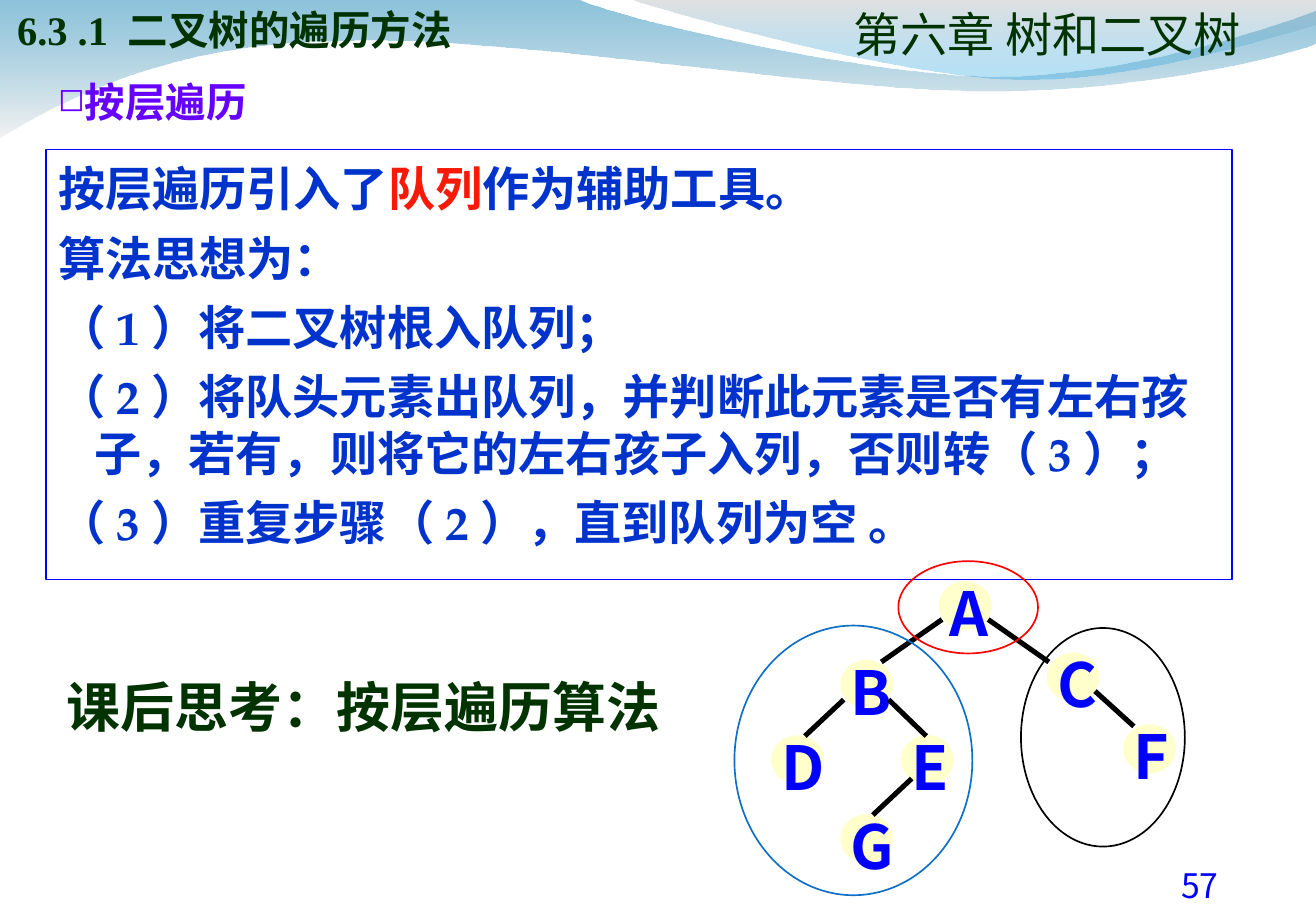
from lxml import etree
from pptx import Presentation
from pptx.dml.color import RGBColor
from pptx.enum.shapes import MSO_CONNECTOR, MSO_SHAPE
from pptx.enum.text import MSO_ANCHOR, PP_ALIGN
from pptx.oxml import parse_xml
from pptx.oxml.ns import nsdecls, qn
from pptx.util import Pt

PX = 9144
SANS = "Noto Sans CJK SC"
SERIF = "Times New Roman"
BODY_FONT = "TeX Gyre Pagella"
GREEN, BLUE, BODY_BLUE = "003300", "0000FF", "0033CC"
RED, PURPLE, CREAM = "F81908", "6600FF", "FFFFCC"


def px(value):
    return round(value * PX)


def color(hex_string):
    return RGBColor.from_string(hex_string)


def add_outline(slide, kind, box, line, width=1.0, fill=None):
    shape = slide.shapes.add_shape(kind, *map(px, box))
    shape.shadow.inherit = False
    if fill:
        shape.fill.solid()
        shape.fill.fore_color.rgb = color(fill)
    else:
        shape.fill.background()
    shape.line.color.rgb = color(line)
    shape.line.width = Pt(width)
    return shape


def add_bullet(properties, character, fill):
    bullet_color = etree.SubElement(properties, qn("a:buClr"))
    etree.SubElement(bullet_color, qn("a:srgbClr")).set("val", fill)
    etree.SubElement(properties, qn("a:buSzPct")).set("val", "80000")
    etree.SubElement(properties, qn("a:buChar")).set("char", character)


def write_text(shape, paragraphs, size, font, fill, bold=False, align=PP_ALIGN.LEFT,
               anchor=MSO_ANCHOR.TOP, insets=(10, 5, 10, 5), before=0, hanging=0,
               bullet=None, line_height=None):
    frame = shape.text_frame
    frame.word_wrap = True
    frame.vertical_anchor = anchor
    frame.margin_left, frame.margin_top, frame.margin_right, frame.margin_bottom = map(px, insets)
    for index, runs in enumerate(paragraphs):
        paragraph = frame.add_paragraph() if index else frame.paragraphs[0]
        paragraph.alignment = align
        if line_height:
            paragraph.line_spacing = Pt(line_height)
        if index:
            paragraph.space_before = Pt(before)
        properties = paragraph._p.get_or_add_pPr()
        properties.set("marL", str(px(hanging)))
        properties.set("indent", str(-px(hanging)))
        if bullet:
            add_bullet(properties, bullet, fill)
        for text, run_fill in runs:
            run = paragraph.add_run()
            run.text = text
            run.font.size = Pt(size)
            run.font.bold = bold
            run.font.name = font
            run.font.color.rgb = color(run_fill)
            run_properties = run._r.get_or_add_rPr()
            run_properties.set("lang", "zh-CN")
            etree.SubElement(run_properties, qn("a:ea")).set("typeface", SANS)


def add_text(slide, box, text, **text_format):
    textbox = slide.shapes.add_textbox(*map(px, box))
    write_text(textbox, [[(text, text_format["fill"])]], **text_format)


def bend_path(shape, segments):
    lines = iter(shape._element.findall(".//" + qn("a:lnTo")))
    for segment in segments:
        line = next(lines)
        if isinstance(segment[0], tuple):
            line.tag = qn("a:cubicBezTo")
            for extra in (next(lines), next(lines)):
                line.append(extra[0])
                extra.getparent().remove(extra)


def add_wave(slide, box, segments, stops):
    points = []
    for segment in segments:
        points.extend(segment if isinstance(segment[0], tuple) else [segment])
    points = [(px(box[0] + x), px(box[1] + y)) for x, y in points]
    builder = slide.shapes.build_freeform(*points[0])
    builder.add_line_segments(points[1:], close=True)
    shape = builder.convert_to_shape()
    bend_path(shape, segments[1:])
    shape.shadow.inherit = False
    shape.line.fill.background()
    stop_xml = "".join(
        f'<a:gs pos="{position * 1000}"><a:srgbClr val="{fill}">'
        f'<a:alpha val="{alpha * 1000}"/></a:srgbClr></a:gs>'
        for position, fill, alpha in stops)
    gradient = parse_xml(f'<a:gradFill {nsdecls("a")} rotWithShape="1"><a:gsLst>{stop_xml}</a:gsLst>'
                         '<a:lin ang="5400000" scaled="0"/></a:gradFill>')
    shape._element.spPr.find(qn("a:custGeom")).addnext(gradient)


def add_header(slide, box):
    left, top, width, height = box
    add_wave(slide, box,
             [(0, 0), (477, 0), ((515, 17), (719, 63), (822, 63)),
              ((924, 63), (1038, 26), (width, 9)), (width, 36),
              ((1065, 44), (942, 76), (808, 75)), ((674, 75), (414, 28), (279, 34)),
              ((140, 35), (50, 83), (0, height))],
             [(0, "0079AF", 45), (100, "E7E7E7", 55)])
    add_wave(slide, box,
             [(519, 0), ((552, 11), (739, 62), (833, 65)),
              ((927, 69), (1042, 32), (width, 21)), (width, 0)],
             [(0, "BCBCBC", 45), (100, "009BE5", 30)])
    heading = dict(font=SERIF, fill=GREEN, anchor=MSO_ANCHOR.BOTTOM, insets=(0, 0, 0, 0))
    add_text(slide, (left + 698, top, 329, 51), "第六章 树和二叉树",
             size=28, align=PP_ALIGN.CENTER, line_height=32, **heading)
    add_text(slide, (left + 14, top, 975, 44), "6.3 .1 二叉树的遍历方法",
             size=24, bold=True, line_height=28, **heading)


def add_algorithm(slide, box):
    left, top, width, height = box
    add_text(slide, (left, top, 293, 125), "按层遍历", size=24, font=SANS, fill=PURPLE,
             bold=True, anchor=MSO_ANCHOR.MIDDLE, bullet="◻")
    panel = add_outline(slide, MSO_SHAPE.RECTANGLE, (left, top + 102, width, height - 102), BLUE, 0.75)
    steps = ["算法思想为：", "（1）将二叉树根入队列；",
             "（2）将队头元素出队列，并判断此元素是否有左右孩子，若有，则将它的左右孩子入列，否则转（3）；",
             "（3）重复步骤（2），直到队列为空 。"]
    opening = [("按层遍历引入了", BODY_BLUE), ("队列", RED), ("作为辅助工具。", BODY_BLUE)]
    write_text(panel, [opening] + [[(step, BODY_BLUE)] for step in steps], size=28,
               font=BODY_FONT, fill=BODY_BLUE, bold=True, before=7, hanging=30,
               insets=(10, 8, 10, 5), line_height=34)


def add_tree(slide, box):
    left, top = box[:2]
    nodes = {"A": (169, 17), "F": (321, 135), "G": (88, 209), "E": (138, 144),
             "D": (31, 144), "C": (258, 76), "B": (88, 82)}
    for letter, (x, y) in nodes.items():
        add_outline(slide, MSO_SHAPE.OVAL, (left + x, top + y, 42, 39), CREAM, fill=CREAM)
        add_text(slide, (left + x - 10, top + y - 10, 75, 70), letter, size=36, font=SANS,
                 fill=BLUE, bold=True, insets=(18, 5, 10, 5))
    edges = [(171, 48, 121, 83), (209, 48, 259, 83), (127, 114, 158, 144),
             (146, 179, 114, 209), (90, 114, 58, 144), (297, 107, 329, 136)]
    for x1, y1, x2, y2 in edges:
        edge = slide.shapes.add_connector(MSO_CONNECTOR.STRAIGHT, px(left + x1), px(top + y1),
                                          px(left + x2), px(top + y2))
        edge.line.color.rgb = color("000000")
        edge.line.width = Pt(3)
        etree.SubElement(edge._element.spPr, qn("a:effectLst"))
    rings = [(0, 53, 196, 222, "0F6FC6"), (236, 55, 135, 180, "000000"), (135, 0, 115, 76, "FF0000")]
    for x, y, width, height, line in rings:
        add_outline(slide, MSO_SHAPE.OVAL, (left + x, top + y, width, height), line)


def add_footer(slide, box):
    left, top = box[:2]
    add_text(slide, (left, top, 559, 64), "课后思考：按层遍历算法", size=32, font=SANS,
             fill=GREEN, bold=True)
    add_text(slide, (left + 852, top + 157, 183, 43), "57", size=20, font=SANS, fill=BLUE,
             align=PP_ALIGN.CENTER, insets=(10, 5, 10, 0))


def main():
    presentation = Presentation()
    presentation.slide_width, presentation.slide_height = px(1084), px(750)
    slide = presentation.slides.add_slide(presentation.slide_layouts[6])
    add_header(slide, (0, 0, 1084, 113))
    add_algorithm(slide, (38, 21, 977, 456))
    add_tree(slide, (605, 462, 371, 275))
    add_footer(slide, (45, 550, 1035, 200))
    presentation.save("out.pptx")


if __name__ == "__main__":
    main()
